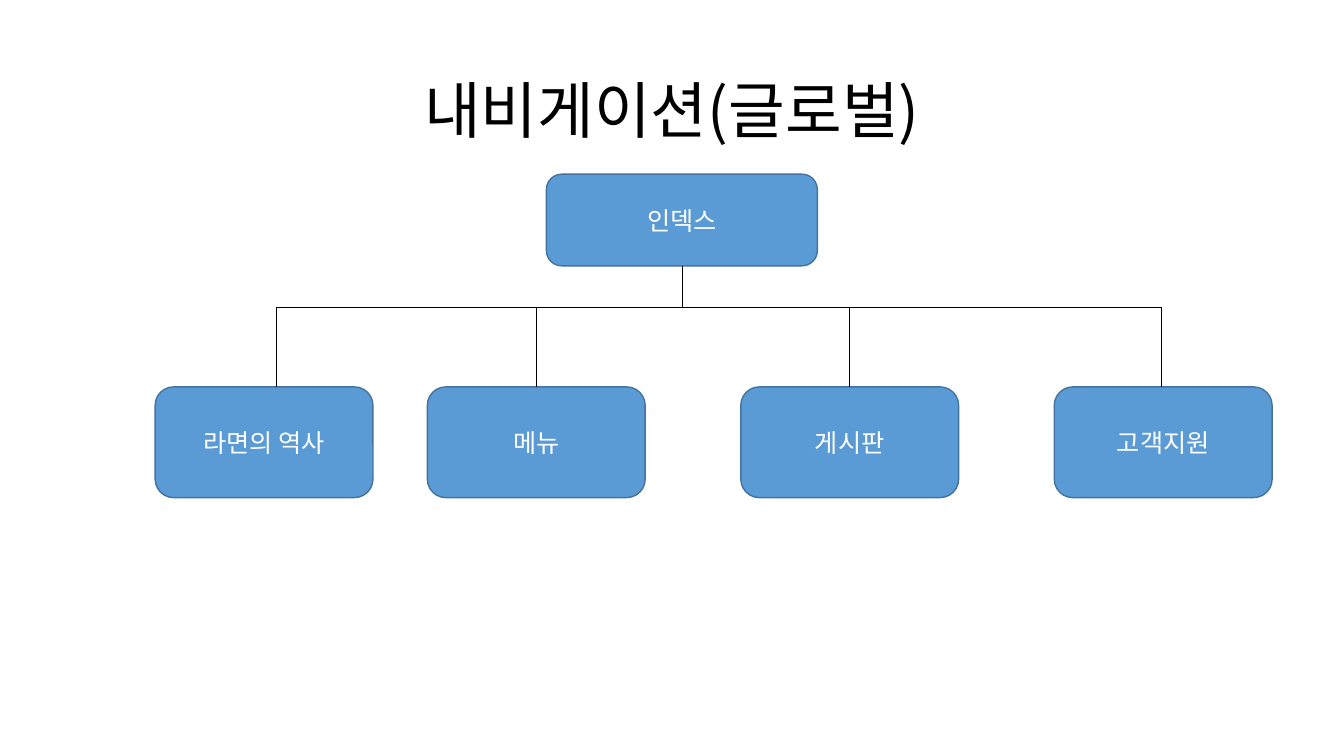
from lxml.etree import SubElement
from pptx import Presentation
from pptx.dml.color import RGBColor
from pptx.enum.shapes import MSO_CONNECTOR as Connector, MSO_SHAPE as Shape
from pptx.enum.text import MSO_ANCHOR as Anchor, PP_ALIGN as Align
from pptx.oxml.ns import qn
from pptx.util import Cm, Pt

FONT = "Noto Sans CJK KR"
COLORS = {"box": "5B9BD5", "border": "43739E", "label": "FFFFFF", "ink": "000000"}
TITLE_BOX = (2.33, 1.02, 29.21, 3.68)
TREE_BOX = (3.91, 4.39, 28.15, 8.15)
PAGE_WIDTH, PAGE_HEIGHT = 5.49, 2.79
PAGES = [
    ("라면의 역사", 0, 3.05),
    ("메뉴", 6.86, 9.6),
    ("게시판", 14.76, 17.5),
    ("고객지원", 22.66, 25.35),
]


def color(name):
    """Return the named colour."""
    return RGBColor.from_string(COLORS[name])


def write(shape, text, size, ink):
    """Write one centred line of text in a shape."""
    frame = shape.text_frame
    frame.word_wrap = True
    frame.vertical_anchor = Anchor.MIDDLE
    paragraph = frame.paragraphs[0]
    paragraph.alignment = Align.CENTER
    run = paragraph.add_run()
    run.text = text
    run.font.size = Pt(size)
    run.font.name = FONT
    run.font.color.rgb = color(ink)
    east_asian = SubElement(run.font._element, qn("a:ea"))
    east_asian.set("typeface", FONT)
    return paragraph


def add_title(slide, box, text):
    """Add the slide title in its box."""
    title = slide.shapes.add_textbox(*map(Cm, box))
    write(title, text, 44, "ink").line_spacing = 0.9


def add_page(slide, box, label):
    """Add a rounded box for one page of the site."""
    page = slide.shapes.add_shape(Shape.ROUNDED_RECTANGLE, *map(Cm, box))
    page.shadow.inherit = False
    page.fill.solid()
    page.fill.fore_color.rgb = color("box")
    page.line.color.rgb = color("border")
    page.line.width = Pt(1)
    write(page, label, 18, "label")


def add_link(slide, start, end, kind=Connector.STRAIGHT):
    """Add a thin link; an elbow runs across first, then up or down."""
    link = slide.shapes.add_connector(kind, *map(Cm, start + end))
    link.line.color.rgb = color("ink")
    link.line.width = Pt(0.5)
    properties = link._element.spPr
    SubElement(properties, qn("a:effectLst"))
    if kind == Connector.ELBOW:
        properties.find(qn("a:prstGeom")).set("prst", "bentConnector2")


def add_site_tree(slide, box):
    """Add the index page, its child pages and the links between them."""
    left, top, width, height = box
    index_left, index_width, index_height = left + 9.86, 6.83, 2.31
    add_page(slide, (index_left, top, index_width, index_height), "인덱스")
    index_foot = (index_left + index_width / 2, top + index_height)
    page_top = top + height - PAGE_HEIGHT
    bus = top + 3.35
    for label, offset, drop in PAGES:
        add_page(slide, (left + offset, page_top, PAGE_WIDTH, PAGE_HEIGHT), label)
        add_link(slide, (left + drop, bus), (left + drop, page_top))
    for label, offset, drop in (PAGES[0], PAGES[-1]):
        add_link(slide, (left + drop, bus), index_foot, Connector.ELBOW)


def main():
    """Build and save the slide."""
    presentation = Presentation()
    presentation.slide_width = Cm(33.87)
    presentation.slide_height = Cm(19.05)
    slide = presentation.slides.add_slide(presentation.slide_layouts[6])
    add_title(slide, TITLE_BOX, "내비게이션(글로벌)")
    add_site_tree(slide, TREE_BOX)
    presentation.save("out.pptx")


main()
